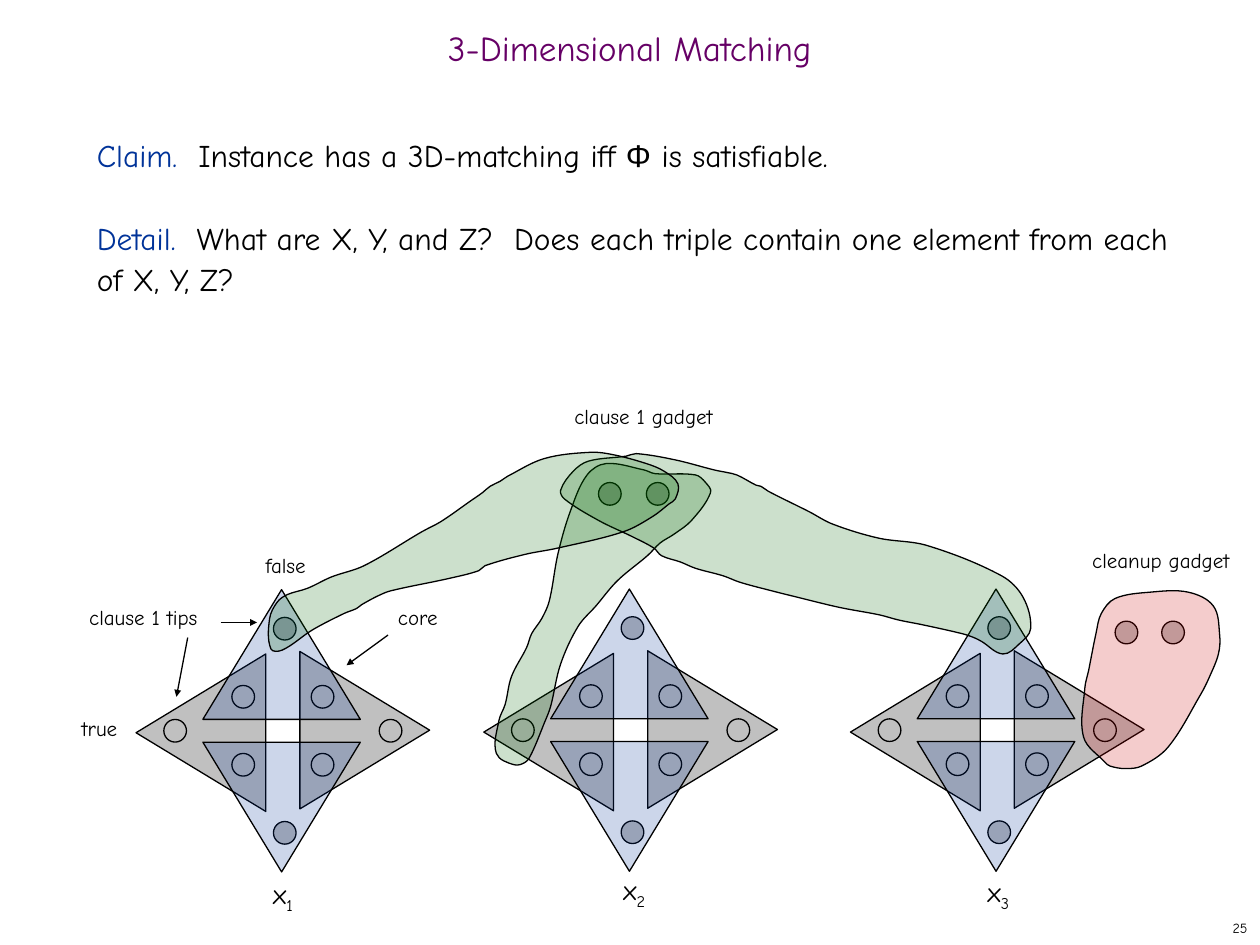
import math

import pptx
import pptx.dml.color
import pptx.enum.shapes
import pptx.enum.text
import pptx.oxml
import pptx.oxml.ns
import pptx.util

Inches = pptx.util.Inches
Pt = pptx.util.Pt
RGBColor = pptx.dml.color.RGBColor
SHAPE = pptx.enum.shapes.MSO_SHAPE
ALIGN = pptx.enum.text.PP_ALIGN
qn = pptx.oxml.ns.qn

BLACK = RGBColor(0x00, 0x00, 0x00)
PURPLE = RGBColor(0x66, 0x00, 0x66)
BLUE = RGBColor(0x00, 0x33, 0x99)
GRAY = RGBColor(0xC0, 0xC0, 0xC0)
GREEN = RGBColor(0x00, 0x66, 0x00)
RED = RGBColor(0xCC, 0x00, 0x00)

# Variable gadgets: name index, corner of the top triangle, corner of the name
VARIABLES = [("1", (1.61, 4.68), (2.07, 6.91)),
             ("2", (4.37, 4.675), (4.85, 6.88)),
             ("3", (7.28, 4.675), (7.74, 6.89))]
# Offsets from the gadget corner: four core dots, then the four tips
GADGET_DOTS = [(0.23, 0.76), (0.86, 0.76), (0.23, 1.3), (0.86, 1.3),
               (1.4, 1.03), (-0.31, 1.03), (0.56, 0.22), (0.56, 1.84)]
LABELS = [("cleanup gadget", 8.57, 4.3, 1.29), ("true", 0.55, 5.63, 0.49),
          ("false", 2.01, 4.34, 0.52), ("clause 1 gadget", 4.46, 3.15, 1.3),
          ("clause 1 tips", 0.61, 4.75, 1.06), ("core", 3.06, 4.75, 0.52)]
ARROWS = [(1.75, 4.94, 2.04, 4.94), (1.49, 5.06, 1.4, 5.53), (3.08, 5.04, 2.75, 5.28)]

# Outlines of the triples, as points on a smooth closed curve
CLAUSE_TO_X2 = [
    (4.81, 3.68), (5.11, 3.73), (5.2, 3.76), (5.52, 3.77), (5.6, 3.83), (5.64, 3.91),
    (5.49, 4.13), (5.35, 4.24), (5.24, 4.31), (5.14, 4.41), (4.9, 4.61), (4.73, 4.81),
    (4.59, 4.97), (4.45, 5.27), (4.37, 5.61), (4.32, 5.74), (4.22, 5.98), (4.17, 6.05),
    (4.08, 6.07), (3.94, 5.98), (3.96, 5.72), (4.01, 5.59), (4.06, 5.37), (4.18, 5.14),
    (4.22, 5.03), (4.3, 4.91), (4.36, 4.77), (4.43, 4.39), (4.53, 4.05), (4.66, 3.77)]
CLAUSE_TO_X3 = [
    (4.97, 3.62), (4.67, 3.66), (4.55, 3.74), (4.45, 3.89), (4.48, 3.96), (4.75, 4.13),
    (5.02, 4.26), (5.19, 4.35), (5.25, 4.41), (5.4, 4.46), (5.52, 4.51), (5.74, 4.57),
    (5.87, 4.62), (6.09, 4.68), (6.33, 4.74), (6.66, 4.82), (6.98, 4.88), (7.13, 4.92),
    (7.33, 4.96), (7.64, 5.03), (7.73, 5.06), (7.79, 5.09), (7.96, 5.19), (8.09, 5.11),
    (8.18, 4.99), (8.12, 4.74), (7.95, 4.57), (7.36, 4.33), (6.97, 4.27), (6.61, 4.16),
    (6.42, 4.06), (6.1, 3.9), (6.04, 3.86), (6, 3.85), (5.85, 3.77), (5.77, 3.75),
    (5.67, 3.73), (5.36, 3.65), (5.05, 3.6)]
CLAUSE_TO_X1 = [
    (4.69, 3.59), (4.87, 3.61), (5.13, 3.68), (5.27, 3.74), (5.38, 3.84), (5.36, 3.96),
    (5.31, 4), (5.18, 4.1), (4.95, 4.22), (4.43, 4.35), (4.17, 4.4), (3.85, 4.49),
    (3.8, 4.53), (3.57, 4.59), (3.1, 4.69), (3, 4.73), (2.87, 4.8), (2.83, 4.83),
    (2.73, 4.87), (2.48, 5), (2.24, 5.16), (2.15, 5.15), (2.14, 4.91), (2.2, 4.78),
    (2.28, 4.72), (2.44, 4.67), (2.63, 4.58), (2.89, 4.49), (3.35, 4.22), (3.5, 4.14),
    (3.73, 3.98), (3.83, 3.91), (3.89, 3.86), (3.97, 3.82), (4.03, 3.78), (4.32, 3.64)]
CLEANUP = [
    (8.7, 5.02), (8.64, 5.32), (8.61, 5.46), (8.6, 5.85), (8.77, 6.05), (8.81, 6.08),
    (8.93, 6.1), (9.06, 6.08), (9.27, 5.93), (9.53, 5.51), (9.6, 5.37), (9.67, 5.19),
    (9.68, 5.04), (9.63, 4.81), (9.43, 4.7), (9.13, 4.7), (8.85, 4.75), (8.74, 4.87)]


def set_font(para, size, color):
    para.font.size, para.font.name = Pt(size), "Comic Neue"
    para.font.color.rgb = color


def add_text(page, text, left, top, width, height, size=12):
    box = page.shapes.add_textbox(*map(Inches, (left, top, width, height)))
    para = box.text_frame.paragraphs[0]
    para.text = text
    set_font(para, size, BLACK)
    return box.text_frame


def style_shape(shape, color, opacity=100):
    shape.shadow.inherit = False
    shape.fill.solid()
    shape.fill.fore_color.rgb = color
    if opacity < 100:
        fill_color = shape._element.spPr.find(qn("a:solidFill"))[0]
        alpha = fill_color.makeelement(qn("a:alpha"), {"val": str(opacity * 1000)})
        fill_color.append(alpha)
    shape.line.color.rgb = BLACK
    shape.line.width = Pt(0.75)


def add_dot(page, left, top):
    dot = page.shapes.add_shape(SHAPE.OVAL, *map(Inches, (left, top, 0.18, 0.18)))
    style_shape(dot, GRAY)


def add_triangle(page, left, top, rotation, color, opacity=100):
    triangle = page.shapes.add_shape(
        SHAPE.ISOSCELES_TRIANGLE, *map(Inches, (left, top, 1.25, 1.03)))
    triangle.rotation = rotation
    style_shape(triangle, color, opacity)


def add_variable_gadget(page, x, y):
    add_triangle(page, x + 0.66, y + 0.6, 90, GRAY)
    add_triangle(page, x - 0.64, y + 0.62, 270, GRAY)
    for dx, dy in GADGET_DOTS:
        add_dot(page, x + dx, y + dy)
    add_triangle(page, x, y, 0, BLUE, 20)
    add_triangle(page, x, y + 1.21, 180, BLUE, 20)


def curve_handle(point, toward, away, length):
    """Control point a third of the length from point, parallel to away-toward."""
    scale = length / 3 / math.dist(toward, away)
    return tuple(p + (t - a) * scale for p, t, a in zip(point, toward, away))


def add_triple(page, points, color):
    curve = []
    for i, start in enumerate(points):
        before, end, after = (points[(i + k) % len(points)] for k in (-1, 1, 2))
        length = math.dist(start, end)
        curve += [curve_handle(start, end, before, length),
                  curve_handle(end, start, after, length), end]
    builder = page.shapes.build_freeform(*map(Inches, points[0]))
    builder.add_line_segments([tuple(map(Inches, point)) for point in curve])
    triple = builder.convert_to_shape()
    # Every three segments become one Bezier curve
    outline = triple._element.spPr.find(".//" + qn("a:path"))
    segments = outline.findall(qn("a:lnTo"))
    for i in range(0, len(segments), 3):
        bezier = outline.makeelement(qn("a:cubicBezTo"), {})
        bezier.extend([segment[0] for segment in segments[i:i + 3]])
        outline.replace(segments[i], bezier)
        for segment in segments[i + 1:i + 3]:
            outline.remove(segment)
    outline.append(outline.makeelement(qn("a:close"), {}))
    style_shape(triple, color, 20)


def add_arrow(page, *ends):
    arrow = page.shapes.add_connector(
        pptx.enum.shapes.MSO_CONNECTOR.STRAIGHT, *map(Inches, ends))
    arrow.line.color.rgb = BLACK
    arrow.line.width = Pt(0.75)
    properties = arrow._element.spPr
    head = {"type": "triangle", "w": "sm", "len": "sm"}
    properties.find(qn("a:ln")).append(properties.makeelement(qn("a:tailEnd"), head))
    properties.append(properties.makeelement(qn("a:effectLst"), {}))


def add_title(page):
    title = page.shapes.title
    title.left, title.top, title.width, title.height = map(Inches, (0, 0.17, 10, 0.5))
    para = title.text_frame.paragraphs[0]
    para.text = "3-Dimensional Matching"
    para.alignment, para.line_spacing = ALIGN.CENTER, 0.7
    set_font(para, 20, PURPLE)


def add_statements(page):
    frame = page.shapes.add_textbox(*map(Inches, (0.67, 1, 8.72, 5.92))).text_frame
    frame.word_wrap = True
    claim, detail = frame.paragraphs[0], frame.add_paragraph()
    detail.space_before = Pt(23.5)
    question = "What are X, Y, and Z?  Does each triple contain one element from each of X, Y, Z?"
    for para, texts in (
            (claim, ["Claim.  ", "Instance has a 3D-matching iff ", "Φ", " is satisfiable."]),
            (detail, ["Detail.  ", question])):
        para.line_spacing = 1.1
        set_font(para, 18, BLACK)
        for text in texts:
            para.add_run().text = text
        para.runs[0].font.color.rgb = BLUE
    claim.runs[2].font.name = "Arial"


def main():
    deck = pptx.Presentation()
    deck.slide_width, deck.slide_height = Inches(10), Inches(7.5)
    page = deck.slides.add_slide(deck.slide_layouts[5])
    # Text
    add_title(page)
    add_statements(page)
    number = add_text(page, "25", 7.92, 7.25, 2.08, 0.25, 8)
    number.word_wrap = True
    number.paragraphs[0].alignment = ALIGN.RIGHT
    # Variable gadgets and their names
    for index, corner, name_corner in VARIABLES:
        add_variable_gadget(page, *corner)
        span = add_text(page, "x", *name_corner, 0.37, 0.4, 16).paragraphs[0].add_run()
        span.text = index
        span.font._element.set("baseline", "-25000")
    # Clause gadget and cleanup gadget
    for left, top in ((4.75, 3.83), (5.13, 3.83), (8.85, 4.93), (9.22, 4.93)):
        add_dot(page, left, top)
    for outline in (CLAUSE_TO_X2, CLAUSE_TO_X3, CLAUSE_TO_X1):
        add_triple(page, outline, GREEN)
    add_triple(page, CLEANUP, RED)
    # Labels and arrows
    for text, left, top, width in LABELS:
        add_text(page, text, left, top, width, 0.3)
    for ends in ARROWS:
        add_arrow(page, *ends)
    deck.save("out.pptx")


if __name__ == "__main__":
    main()
